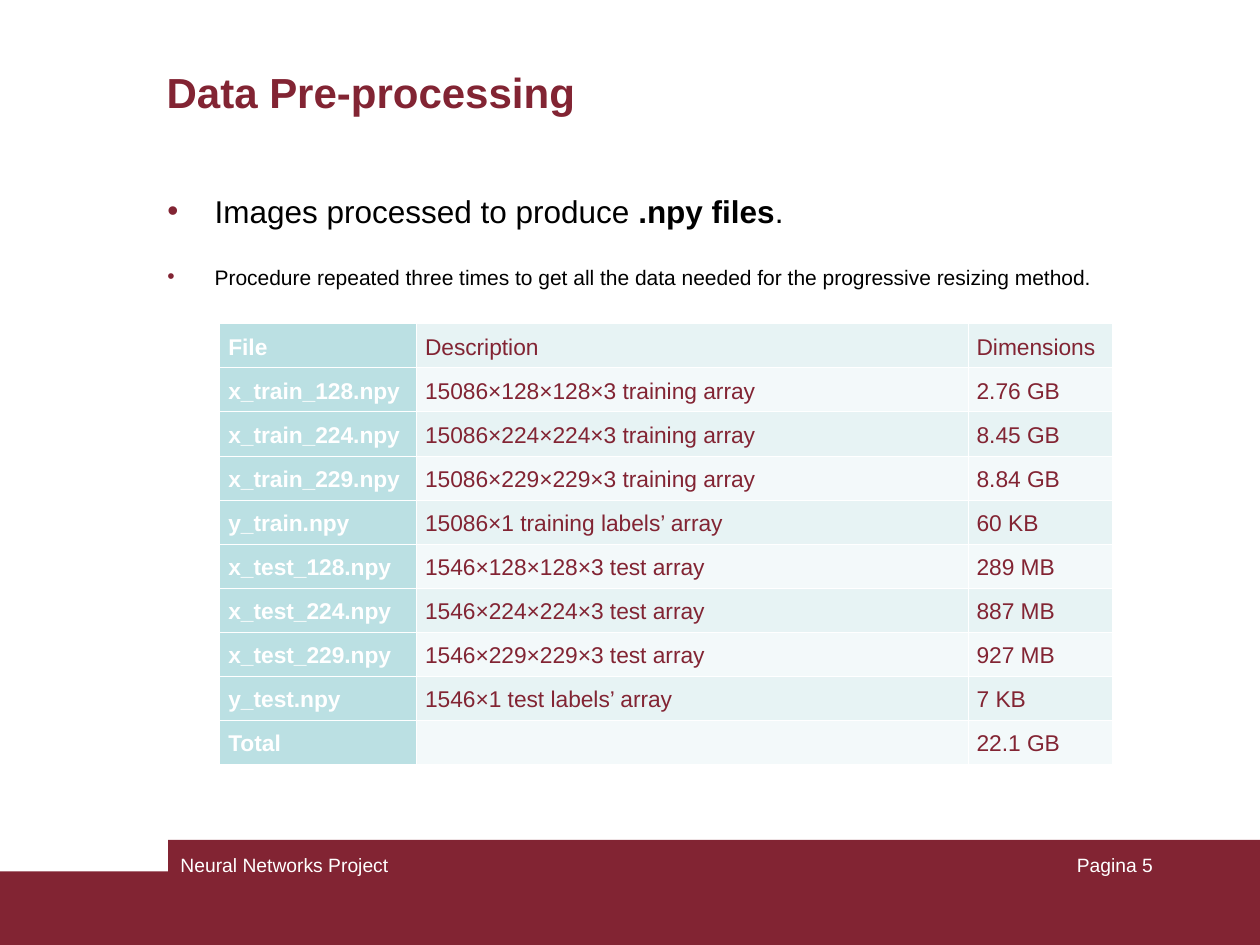
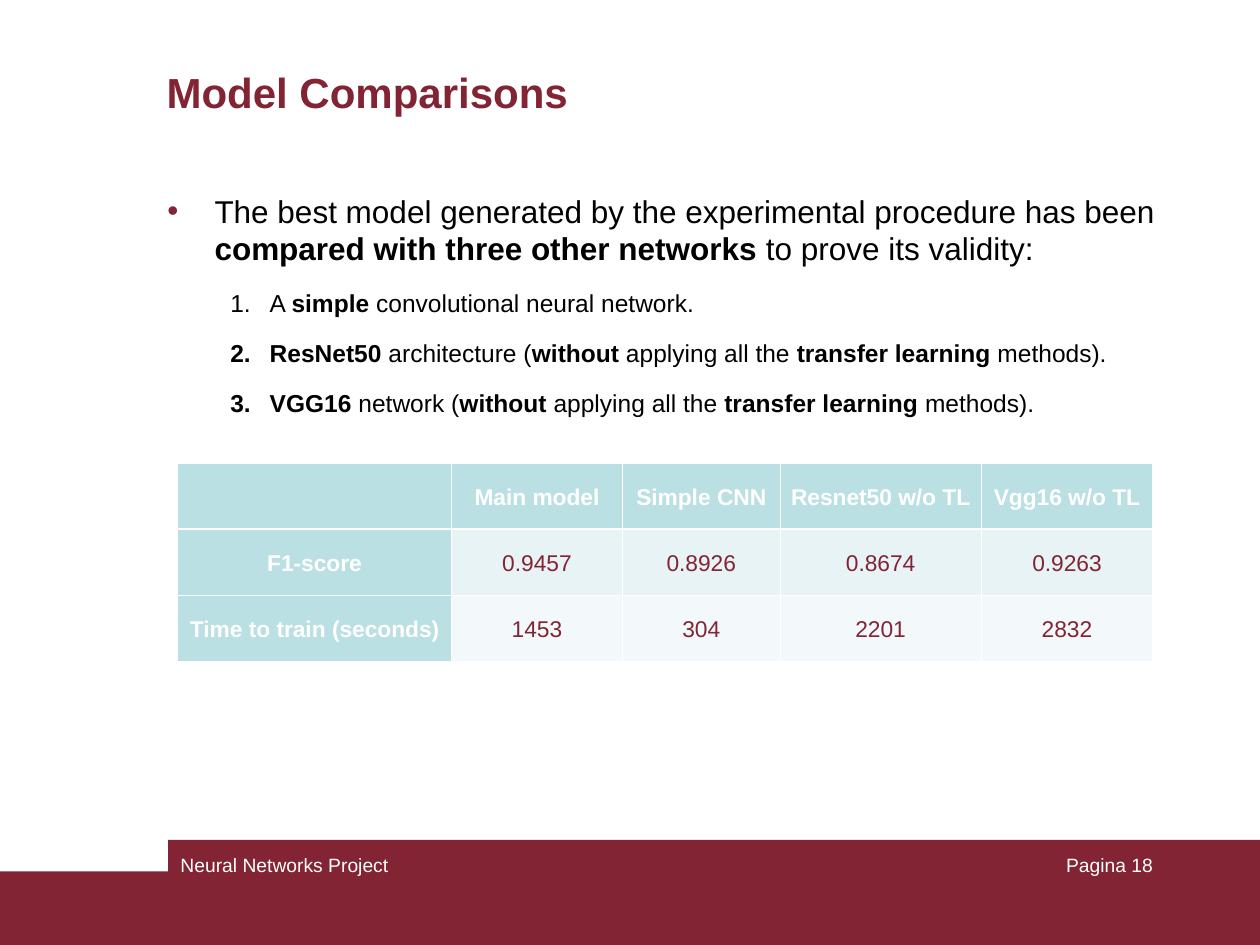
from dataclasses import dataclass
from typing import Optional

from lxml.etree import SubElement
from pptx import Presentation
from pptx.dml.color import RGBColor
from pptx.enum.shapes import MSO_SHAPE
from pptx.enum.text import MSO_ANCHOR, PP_ALIGN
from pptx.oxml.ns import qn
from pptx.presentation import Presentation as Deck
from pptx.slide import Slide
from pptx.table import _Cell
from pptx.text.text import TextFrame, _Paragraph, _Run
from pptx.util import Pt


@dataclass(frozen=True)
class Theme:
    font: str = "Arial"
    maroon: str = "822433"
    white: str = "FFFFFF"
    black: str = "000000"
    heading_fill: str = "BBE0E3"
    band_fills: tuple[str, str] = ("E7F3F4", "F3F9FA")
    title_size: float = 24
    lead_size: float = 18
    item_size: float = 14
    note_size: float = 12
    cell_size: float = 13
    footer_size: float = 11
    thin_rule: float = 0.45
    thick_rule: float = 1.47


@dataclass(frozen=True)
class Box:
    left: float
    top: float
    width: float
    height: float

    def in_points(self) -> tuple[Pt, Pt, Pt, Pt]:
        return Pt(self.left), Pt(self.top), Pt(self.width), Pt(self.height)


@dataclass(frozen=True)
class Item:
    """One list entry; **double stars** enclose its bold words."""
    text: str
    size: float
    space_before: float = 0
    numbered: bool = False


@dataclass(frozen=True)
class TableSpec:
    left: float
    top: float
    widths: list[float]
    heights: list[float]
    rows: list[list[str]]
    align: PP_ALIGN
    line_spacing: float
    side_margin: float
    header_row: bool = False


@dataclass(frozen=True)
class Page:
    number: int
    title: str
    items: list[Item]
    table: TableSpec


THEME = Theme()
BANDS = [Box(0, 498, 720, 42), Box(96, 480, 624, 60)]
TITLE_BOX = Box(88, 32.5, 595.5, 39.5)
BODY_BOX = Box(88.5, 106, 583.5, 318)
PROJECT_BOX = Box(96, 484, 228, 36)
PAGE_BOX = Box(516, 484, 150, 36)

PAGES = [
    Page(
        5,
        "Data Pre-processing",
        [
            Item("Images processed to produce **.npy files**.", THEME.lead_size),
            Item("Procedure repeated three times to get all the data needed "
                 "for the progressive resizing method.", THEME.note_size, 19.8),
        ],
        TableSpec(
            left=125.5, top=185,
            widths=[112.4, 315.2, 82.6],
            heights=[18, 25, 24.8, 24.2, 21.6, 22.3, 22.3, 22.3, 25, 18],
            rows=[
                ["File", "Description", "Dimensions"],
                ["x_train_128.npy", "15086×128×128×3 training array", "2.76 GB"],
                ["x_train_224.npy", "15086×224×224×3 training array", "8.45 GB"],
                ["x_train_229.npy", "15086×229×229×3 training array", "8.84 GB"],
                ["y_train.npy", "15086×1 training labels’ array", "60 KB"],
                ["x_test_128.npy", "1546×128×128×3 test array", "289 MB"],
                ["x_test_224.npy", "1546×224×224×3 test array", "887 MB"],
                ["x_test_229.npy", "1546×229×229×3 test array", "927 MB"],
                ["y_test.npy", "1546×1 test labels’ array", "7 KB"],
                ["Total", "", "22.1 GB"],
            ],
            align=PP_ALIGN.JUSTIFY, line_spacing=1.15, side_margin=5,
        ),
    ),
    Page(
        18,
        "Model Comparisons",
        [
            Item("The best model generated by the experimental procedure has been "
                 "**compared with three other networks **to prove its validity:",
                 THEME.lead_size),
            Item("A **simple** convolutional neural network.",
                 THEME.item_size, 3.5, True),
            Item("**ResNet50** architecture (**without** applying all the "
                 "**transfer learning **methods).", THEME.item_size, 3.5, True),
            Item("**VGG16** network (**without** applying all the "
                 "**transfer learning **methods).", THEME.item_size, 3.5, True),
        ],
        TableSpec(
            left=101.5, top=265,
            widths=[156.4, 97.8, 90, 115, 98],
            heights=[37.5, 38, 37.5],
            rows=[
                ["", "Main model", "Simple CNN", "Resnet50 w/o TL", "Vgg16 w/o TL"],
                ["F1-score", "0.9457", "0.8926", "0.8674", "0.9263"],
                ["Time to train (seconds)", "1453", "304", "2201", "2832"],
            ],
            align=PP_ALIGN.CENTER, line_spacing=1.07, side_margin=5.8,
            header_row=True,
        ),
    ),
]


def format_run(r: _Run, size: float, color: str, bold: bool = False) -> None:
    r.font.name = THEME.font
    r.font.size = Pt(size)
    r.font.bold = bold
    r.font.color.rgb = RGBColor.from_string(color)


def add_text_frame(s: Slide, box: Box) -> TextFrame:
    tf = s.shapes.add_textbox(*box.in_points()).text_frame
    tf.word_wrap = True
    return tf


def add_footer(s: Slide, box: Box, text: str, align: PP_ALIGN) -> None:
    p = add_text_frame(s, box).paragraphs[0]
    p.text = text
    p.alignment = align
    format_run(p.runs[0], THEME.footer_size, THEME.white)


def add_frame(s: Slide, page: Page) -> None:
    """Draw the bands, title and footers that every slide has."""
    for band in BANDS:
        sp = s.shapes.add_shape(MSO_SHAPE.RECTANGLE, *band.in_points())
        sp.shadow.inherit = False
        sp.fill.solid()
        sp.fill.fore_color.rgb = RGBColor.from_string(THEME.maroon)
        sp.line.fill.background()
    title = s.shapes.title
    title.left, title.top, title.width, title.height = TITLE_BOX.in_points()
    tf = title.text_frame
    tf.text = page.title
    tf.vertical_anchor = MSO_ANCHOR.MIDDLE
    tf.paragraphs[0].alignment = PP_ALIGN.LEFT
    format_run(tf.paragraphs[0].runs[0], THEME.title_size, THEME.maroon, True)
    add_footer(s, PROJECT_BOX, "Neural Networks Project", PP_ALIGN.LEFT)
    add_footer(s, PAGE_BOX, f"Pagina {page.number}", PP_ALIGN.RIGHT)


def add_marker(p: _Paragraph, numbered: bool) -> None:
    """Give the paragraph a hanging bullet or an automatic number."""
    margin, hang = (58.5, 22.5) if numbered else (27, 27)
    pPr = p._p.get_or_add_pPr()
    pPr.set("marL", str(Pt(margin)))
    pPr.set("indent", str(-Pt(hang)))
    color = THEME.black if numbered else THEME.maroon
    SubElement(SubElement(pPr, qn("a:buClr")), qn("a:srgbClr"), val=color)
    if numbered:
        SubElement(pPr, qn("a:buFont"), typeface="+mj-lt")
        SubElement(pPr, qn("a:buAutoNum"), type="arabicPeriod")
    else:
        SubElement(pPr, qn("a:buFont"), typeface=THEME.font)
        SubElement(pPr, qn("a:buChar"), char="•")


def add_items(s: Slide, items: list[Item]) -> None:
    tf = add_text_frame(s, BODY_BOX)
    for i, item in enumerate(items):
        p = tf.add_paragraph() if i else tf.paragraphs[0]
        add_marker(p, item.numbered)
        if item.space_before:
            p.space_before = Pt(item.space_before)
        if item.numbered:
            p.level = 1
            p.line_spacing = 1.5
        for j, part in enumerate(item.text.split("**")):
            if part:
                r = p.add_run()
                r.text = part
                format_run(r, item.size, THEME.black, j % 2 == 1)


def set_borders(cell: _Cell, top: float, bottom: float) -> None:
    tcPr = cell._tc.get_or_add_tcPr()
    widths = {"lnL": THEME.thin_rule, "lnR": THEME.thin_rule, "lnT": top, "lnB": bottom}
    for side, width in widths.items():
        ln = SubElement(tcPr, qn(f"a:{side}"), w=str(Pt(width)))
        SubElement(SubElement(ln, qn("a:solidFill")), qn("a:srgbClr"), val=THEME.white)


def fill_cell(cell: _Cell, text: str, spec: TableSpec, band: Optional[str]) -> None:
    """Write and format a cell; without a band colour it is a heading."""
    cell.fill.solid()
    cell.fill.fore_color.rgb = RGBColor.from_string(band or THEME.heading_fill)
    cell.vertical_anchor = MSO_ANCHOR.MIDDLE
    cell.margin_left = cell.margin_right = Pt(spec.side_margin)
    cell.margin_top = cell.margin_bottom = Pt(3.6)
    p = cell.text_frame.paragraphs[0]
    p.alignment = spec.align
    p.line_spacing = spec.line_spacing
    p.space_after = Pt(8)
    if text:
        p.text = text
        format_run(p.runs[0], THEME.cell_size, THEME.maroon if band else THEME.white,
                   band is None)
    else:
        SubElement(p._p, qn("a:endParaRPr"), sz=str(int(THEME.cell_size * 100)))


def add_data_table(s: Slide, spec: TableSpec) -> None:
    box = Box(spec.left, spec.top, sum(spec.widths), sum(spec.heights))
    table = s.shapes.add_table(len(spec.rows), len(spec.widths), *box.in_points()).table
    table.first_row = table.horz_banding = False
    for column, width in zip(table.columns, spec.widths):
        column.width = Pt(width)
    header_rows = int(spec.header_row)
    for i, (row, height) in enumerate(zip(spec.rows, spec.heights)):
        table.rows[i].height = Pt(height)
        top = THEME.thick_rule if header_rows and i == 1 else THEME.thin_rule
        bottom = THEME.thick_rule if i < header_rows else THEME.thin_rule
        for j, text in enumerate(row):
            heading = j == 0 or i < header_rows
            band = None if heading else THEME.band_fills[(i - header_rows) % 2]
            set_borders(table.cell(i, j), top, bottom)
            fill_cell(table.cell(i, j), text, spec, band)


def add_page(prs: Deck, page: Page) -> None:
    s = prs.slides.add_slide(prs.slide_layouts.get_by_name("Title Only"))
    add_frame(s, page)
    add_items(s, page.items)
    add_data_table(s, page.table)


def main() -> None:
    prs = Presentation()
    prs.slide_width, prs.slide_height = Pt(720), Pt(540)
    for page in PAGES:
        add_page(prs, page)
    prs.save("out.pptx")


if __name__ == "__main__":
    main()
